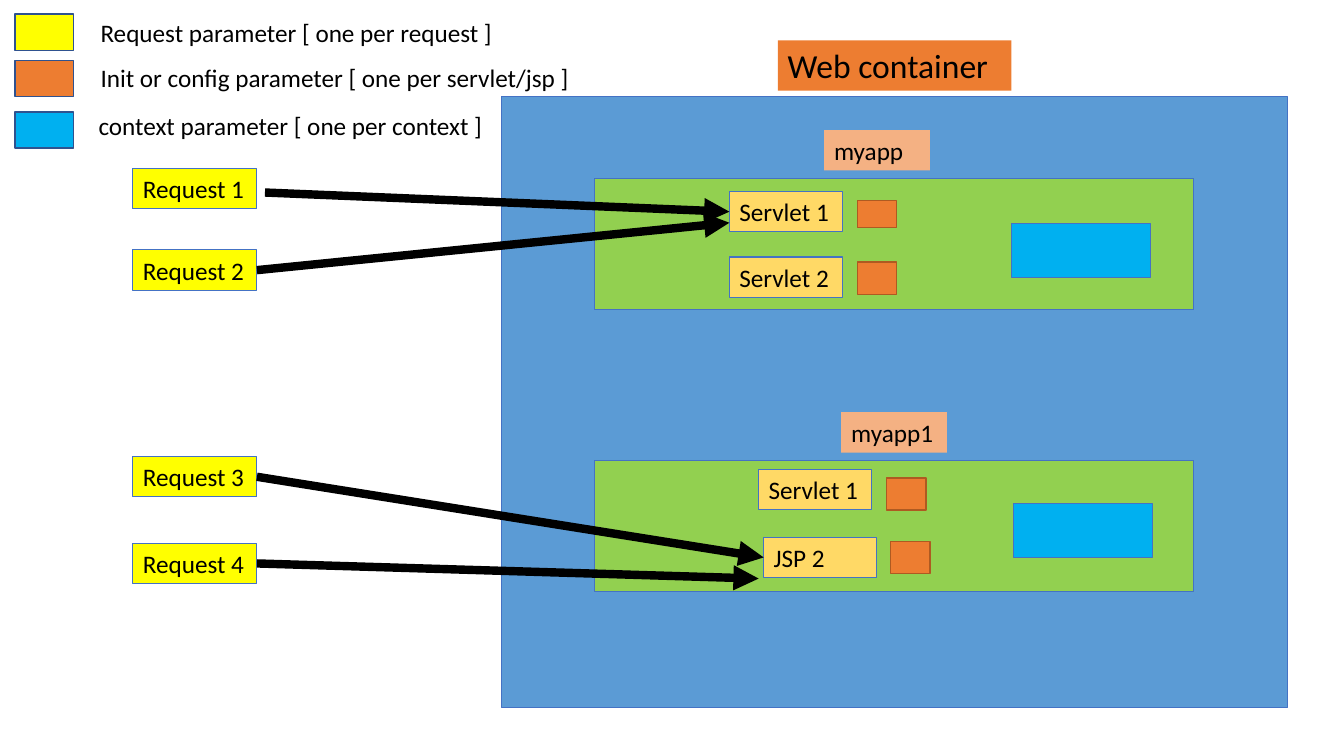
from lxml import etree
from pptx import Presentation
from pptx.dml.color import RGBColor
from pptx.enum.shapes import MSO_CONNECTOR, MSO_SHAPE
from pptx.enum.text import MSO_ANCHOR, MSO_AUTO_SIZE, PP_ALIGN
from pptx.oxml.ns import qn
from pptx.util import Emu, Pt

RECTANGLE = MSO_SHAPE.RECTANGLE
STRAIGHT = MSO_CONNECTOR.STRAIGHT
TOP = MSO_ANCHOR.TOP
LEFT = PP_ALIGN.LEFT
GROW = MSO_AUTO_SIZE.SHAPE_TO_FIT_TEXT

EMU_PER_PX = 9144  # 100 px to the inch
LEFT_SIDE, RIGHT_SIDE = 1, 3
LABEL_HEIGHT = 40
FONT = "Calibri"

BLACK = RGBColor(0x00, 0x00, 0x00)
YELLOW = RGBColor(0xFF, 0xFF, 0x00)
ORANGE = RGBColor(0xED, 0x7D, 0x31)
PEACH = RGBColor(0xF4, 0xB1, 0x83)
GOLD = RGBColor(0xFF, 0xD9, 0x66)
GREEN = RGBColor(0x92, 0xD0, 0x50)
SKY = RGBColor(0x00, 0xB0, 0xF0)
CONTAINER_BLUE = RGBColor(0x5B, 0x9B, 0xD5)
BORDER_BLUE = RGBColor(0x44, 0x72, 0xC4)
LEGEND_BORDER = RGBColor(0x2F, 0x52, 0x8F)
BROWN = RGBColor(0xAE, 0x5A, 0x21)


def px(value):
    return Emu(value * EMU_PER_PX)


def write_text(shape, text, size):
    frame = shape.text_frame
    frame.word_wrap = True
    frame.auto_size = GROW
    frame.vertical_anchor = TOP
    paragraph = frame.paragraphs[0]
    paragraph.text = text
    paragraph.alignment = LEFT
    paragraph.font.name = FONT
    paragraph.font.size = Pt(size)
    paragraph.font.color.rgb = BLACK


def add_box(slide, bounds, fill, border=BORDER_BLUE, border_width=0.75):
    """Add a filled rectangle; a border of None leaves it without an outline."""
    shape = slide.shapes.add_shape(RECTANGLE, *map(px, bounds))
    shape.shadow.inherit = False
    shape.fill.solid()
    shape.fill.fore_color.rgb = fill
    if border is None:
        shape.line.fill.background()
    else:
        shape.line.color.rgb = border
        shape.line.width = Pt(border_width)
    return shape


def add_label(slide, text, bounds, fill, border=BORDER_BLUE, size=18):
    shape = add_box(slide, bounds, fill, border)
    write_text(shape, text, size)
    return shape


def add_arrow(slide, start, end, source=None, target=None):
    """Draw an arrow, joined to the source's right and target's left if given."""
    arrow = slide.shapes.add_connector(STRAIGHT, *map(px, start + end))
    if source is not None:
        arrow.begin_connect(source, RIGHT_SIDE)
    if target is not None:
        arrow.end_connect(target, LEFT_SIDE)
    arrow.line.color.rgb = BLACK
    arrow.line.width = Pt(6)
    etree.SubElement(arrow.line._get_or_add_ln(), qn("a:tailEnd"), type="triangle")
    etree.SubElement(arrow._element.spPr, qn("a:effectLst"))


def add_legend_entry(slide, text, color, swatch_top, text_bounds):
    add_box(slide, (15, swatch_top, 58, 36), color, LEGEND_BORDER, 1)
    text_box = slide.shapes.add_textbox(*map(px, text_bounds))
    write_text(text_box, text, 18)


def add_application(slide, name, name_left, top, context_bounds, components):
    """Draw one web application and return the boxes of its components."""
    add_box(slide, (590, top, 595, 130), GREEN)
    add_label(slide, name, (name_left, top - 48, 105, LABEL_HEIGHT), PEACH, None)
    add_box(slide, context_bounds, SKY)
    boxes = []
    for text, left, component_top, config_bounds in components:
        bounds = (left, component_top, 112, LABEL_HEIGHT)
        boxes.append(add_label(slide, text, bounds, GOLD))
        add_box(slide, config_bounds, ORANGE, BROWN, 1)
    return boxes


def main():
    presentation = Presentation()
    presentation.slide_width = px(1334)
    presentation.slide_height = px(750)
    slide = presentation.slides.add_slide(presentation.slide_layouts[6])

    add_box(slide, (498, 96, 780, 606), CONTAINER_BLUE)
    add_label(slide, "Web container", (772, 40, 232, 50), ORANGE, None, 24)

    servlet, _ = add_application(
        slide, "myapp", 818, 177, (1004, 222, 138, 53),
        [("Servlet 1", 724, 190, (851, 199, 39, 27)),
         ("Servlet 2", 724, 255, (851, 260, 39, 32))])
    _, jsp = add_application(
        slide, "myapp1", 835, 457, (1006, 500, 138, 53),
        [("Servlet 1", 753, 466, (880, 474, 39, 32)),
         ("JSP 2", 758, 533, (884, 537, 39, 32))])

    requests = [
        add_label(slide, f"Request {number}", (132, top, 123, LABEL_HEIGHT), YELLOW)
        for number, top in enumerate((167, 248, 453, 539), start=1)]

    add_arrow(slide, (263, 191), (724, 210), target=servlet)
    add_arrow(slide, (255, 268), (724, 221), source=requests[1])
    add_arrow(slide, (255, 473), (758, 553), source=requests[2], target=jsp)
    add_arrow(slide, (255, 559), (753, 574), source=requests[3])

    for entry in (
        ("Request parameter [ one per request ]", YELLOW, 14, (90, 12, 447, 40)),
        ("Init or config parameter [ one per servlet/jsp ]", ORANGE, 60,
         (90, 57, 519, 40)),
        ("context parameter [ one per context ]", SKY, 111, (88, 105, 404, 40)),
    ):
        add_legend_entry(slide, *entry)

    presentation.save("out.pptx")


if __name__ == "__main__":
    main()
